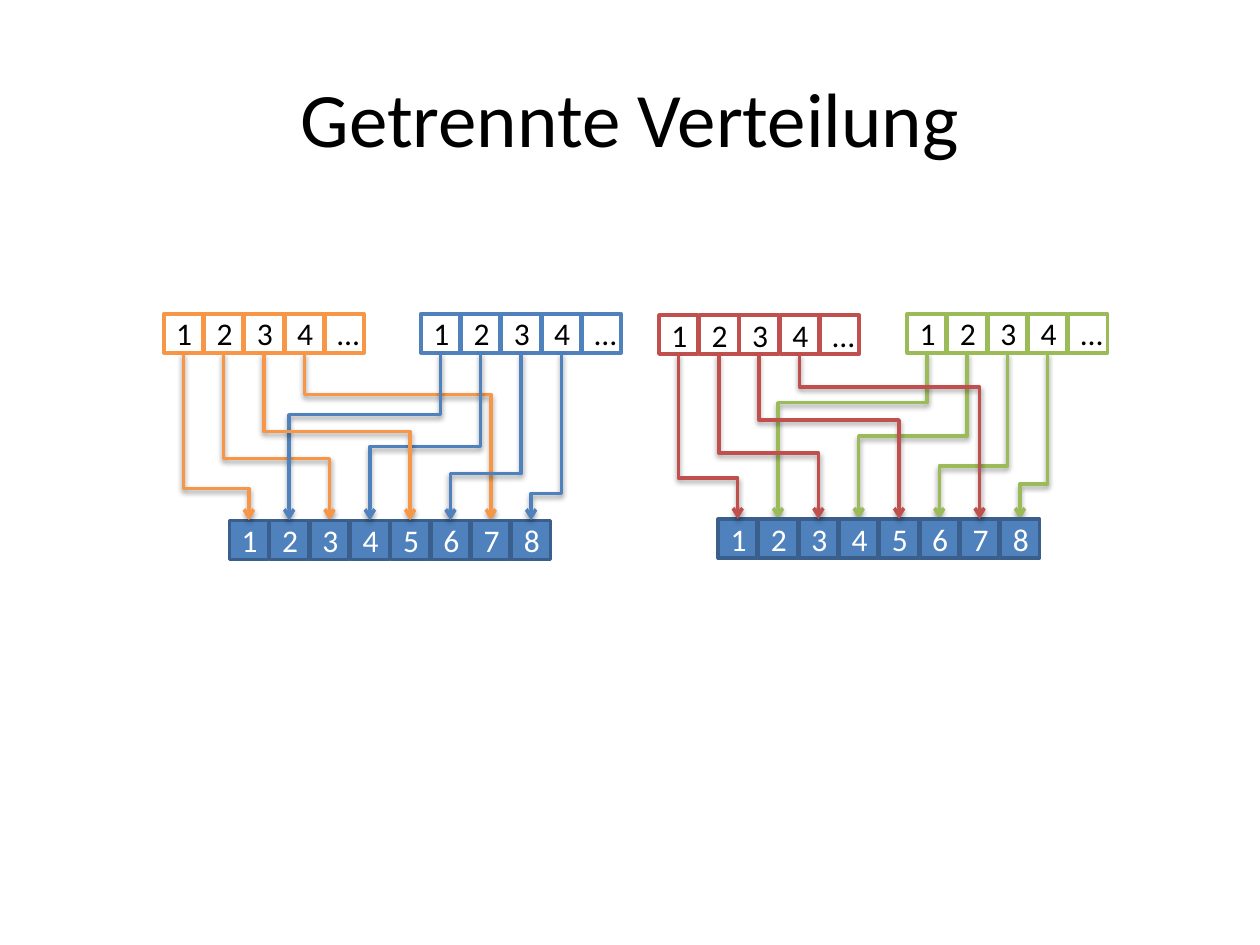
from dataclasses import dataclass

from lxml import etree
from pptx import Presentation
from pptx.dml.color import RGBColor
from pptx.enum.shapes import MSO_CONNECTOR, MSO_SHAPE
from pptx.enum.text import MSO_ANCHOR, PP_ALIGN
from pptx.oxml.ns import qn
from pptx.util import Inches, Pt

ELBOW = MSO_CONNECTOR.ELBOW
RECTANGLE = MSO_SHAPE.RECTANGLE
MIDDLE = MSO_ANCHOR.MIDDLE
CENTER = PP_ALIGN.CENTER

BLACK = RGBColor(0x00, 0x00, 0x00)
WHITE = RGBColor(0xFF, 0xFF, 0xFF)
ORANGE = RGBColor(0xF7, 0x96, 0x46)
BLUE = RGBColor(0x4F, 0x81, 0xBD)
RED = RGBColor(0xC0, 0x50, 0x4D)
GREEN = RGBColor(0x9B, 0xBB, 0x59)
DARK_BLUE = RGBColor(0x3A, 0x5F, 0x8C)

CELL = 0.31
PITCH = 0.32
LINE_WIDTH = Pt(2)
SOURCE_LABELS = ["1", "2", "3", "4", "…"]
TARGET_LABELS = ["1", "2", "3", "4", "5", "6", "7", "8"]


@dataclass
class Source:
    color: RGBColor
    left: float
    top: float
    first_target: int
    bends: tuple
    behind: tuple = ()


def add_child(parent, tag, **attributes):
    return etree.SubElement(parent, qn(tag), attributes)


def format_text(text_frame, text, size, color):
    text_frame.text = text
    text_frame.vertical_anchor = MIDDLE
    paragraph = text_frame.paragraphs[0]
    paragraph.alignment = CENTER
    font = paragraph.runs[0].font
    for name, value in {"name": "Calibri", "size": Pt(size)}.items():
        setattr(font, name, value)
    font.color.rgb = color


def add_title(slide, text):
    title = slide.shapes.title
    box = {"left": 0.5, "top": 0.3, "width": 9, "height": 1.25}
    for name, value in box.items():
        setattr(title, name, Inches(value))
    format_text(title.text_frame, text, 44, BLACK)


def add_cells(slide, left, top, labels, fill, line, text_color):
    for column, label in enumerate(labels):
        shape = slide.shapes.add_shape(
            RECTANGLE, Inches(left + column * PITCH), Inches(top),
            Inches(CELL), Inches(CELL))
        shape.shadow.inherit = False
        shape.fill.solid()
        shape.fill.fore_color.rgb = fill
        shape.line.color.rgb = line
        shape.line.width = LINE_WIDTH
        format_text(shape.text_frame, label, 18, text_color)


def add_arrow(slide, start_x, start_y, end_x, end_y, bend, color):
    length, spread = end_y - start_y, abs(end_x - start_x)
    center_x, center_y = (start_x + end_x) / 2, (start_y + end_y) / 2
    connector = slide.shapes.add_connector(
        ELBOW,
        Inches(center_x - length / 2), Inches(center_y - spread / 2),
        Inches(center_x + length / 2), Inches(center_y + spread / 2))
    connector.line.color.rgb = color
    connector.line.width = LINE_WIDTH
    properties = connector._element.spPr
    transform = properties.find(qn("a:xfrm"))
    if end_x > start_x:
        transform.set("rot", "16200000")
        transform.set("flipH", "1")
    else:
        transform.set("rot", "5400000")
    guides = properties.find(qn("a:prstGeom")).find(qn("a:avLst"))
    add_child(guides, "a:gd", name="adj1", fmla=f"val {round(bend * 100000)}")
    add_child(properties.find(qn("a:ln")), "a:tailEnd", type="arrow")
    effects = add_child(properties, "a:effectLst")
    shadow = add_child(effects, "a:outerShdw", blurRad="40000", dist="20000",
                       dir="5400000", rotWithShape="0")
    shadow_color = add_child(shadow, "a:srgbClr", val="000000")
    add_child(shadow_color, "a:alpha", val="38000")


def add_distribution(slide, left, top, target_left, target_top, sources):
    def connect(source, column):
        target_column = source.first_target + 2 * column
        add_arrow(slide,
                  left + source.left + column * PITCH + CELL / 2,
                  top + source.top + CELL,
                  left + target_left + target_column * PITCH + CELL / 2,
                  top + target_top, source.bends[column], source.color)

    for source in sources:
        for column in source.behind:
            connect(source, column)
    for source in sources:
        add_cells(slide, left + source.left, top + source.top,
                  SOURCE_LABELS, WHITE, source.color, BLACK)
    add_cells(slide, left + target_left, top + target_top,
              TARGET_LABELS, BLUE, DARK_BLUE, WHITE)
    for source in reversed(sources):
        for column in range(len(source.bends)):
            if column not in source.behind:
                connect(source, column)


presentation = Presentation()
presentation.slide_width = Inches(10)
presentation.slide_height = Inches(7.5)
slide = presentation.slides.add_slide(presentation.slide_layouts[5])

add_title(slide, "Getrennte Verteilung")
add_distribution(slide, 1.3, 2.49, 0.52, 1.64, [
    Source(ORANGE, 0, 0, 0, (0.81, 0.63, 0.47, 0.25), (1, 3)),
    Source(BLUE, 2.04, 0, 1, (0.37, 0.56, 0.72, 0.84)),
])
add_distribution(slide, 5.23, 2.49, 0.47, 1.63, [
    Source(RED, 0, 0.01, 0, (0.75, 0.6, 0.4, 0.2)),
    Source(GREEN, 1.97, 0, 1, (0.3, 0.5, 0.68, 0.79), (0, 1, 2, 3)),
])

presentation.save("out.pptx")
